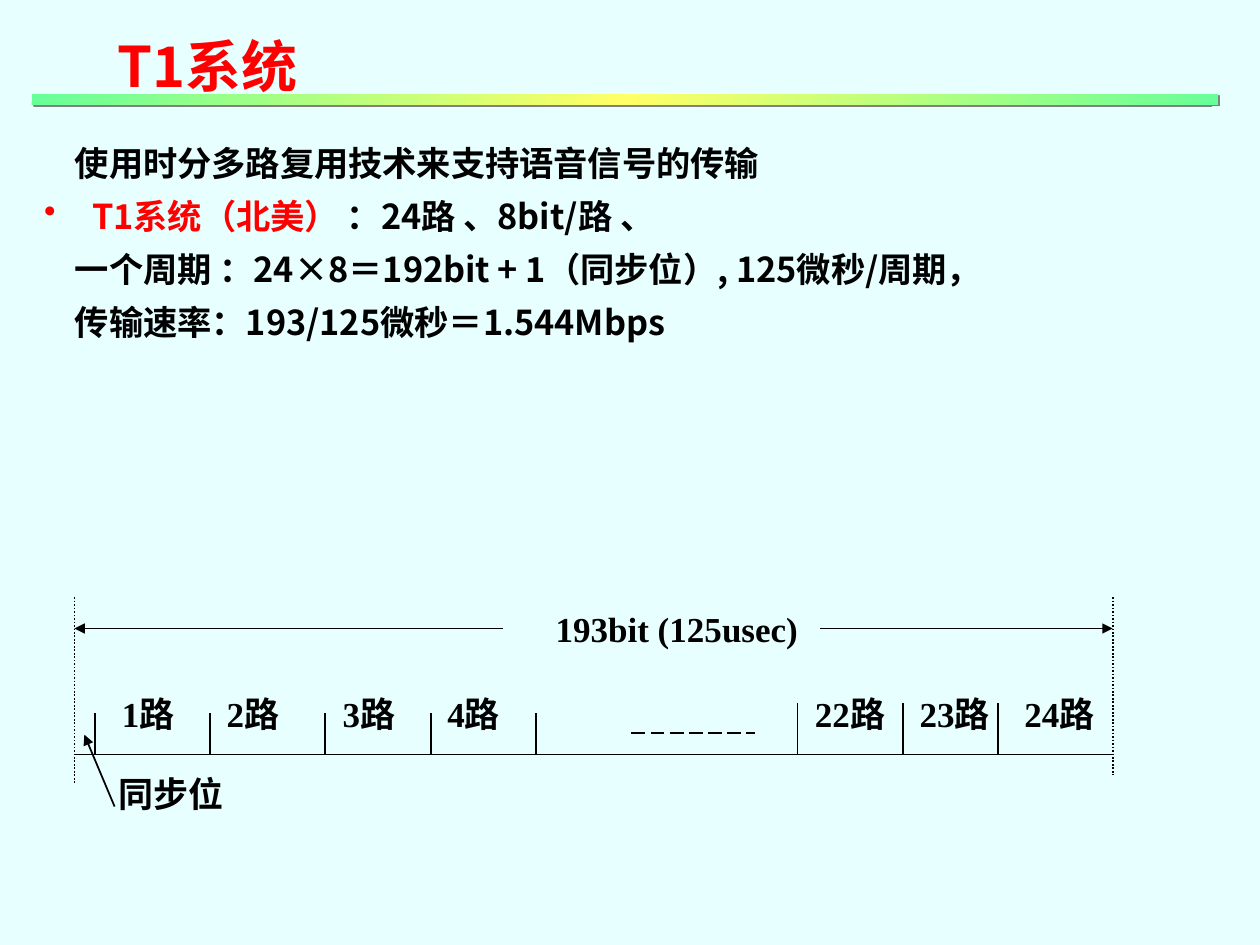
from copy import deepcopy
from dataclasses import dataclass

from lxml.etree import SubElement
from pptx import Presentation
from pptx.dml.color import RGBColor
from pptx.enum.dml import MSO_LINE
from pptx.enum.shapes import MSO_CONNECTOR, MSO_SHAPE
from pptx.oxml.ns import qn
from pptx.util import Cm, Pt


@dataclass(frozen=True)
class Theme:
    background: RGBColor = RGBColor(0xE7, 0xFF, 0xFF)
    ink: RGBColor = RGBColor(0, 0, 0)
    accent: RGBColor = RGBColor(0xFF, 0, 0)
    rule_edge: RGBColor = RGBColor(0x66, 0xFF, 0x99)
    rule_middle: RGBColor = RGBColor(0xFF, 0xFF, 0x66)
    rule_shadow: str = "808080"
    sans: str = "Noto Sans CJK SC"
    serif: str = "Times New Roman"
    title_size: float = 32
    body_size: float = 19.6
    label_size: float = 20
    line_height: float = 1.26
    line_width: float = 1


THEME = Theme()


def add_text_box(slide, left, top, width, height):
    """Add a wrapping text box without margins and return its text frame."""
    frame = slide.shapes.add_textbox(Cm(left), Cm(top), Cm(width), Cm(height)).text_frame
    frame.word_wrap = True
    frame.margin_left = frame.margin_right = frame.margin_top = frame.margin_bottom = 0
    return frame


def style_paragraph(paragraph, size, latin, color):
    paragraph.line_spacing = Pt(round(size * THEME.line_height, 1))
    font = paragraph.font
    font.size, font.bold, font.name = Pt(size), True, latin
    font.color.rgb = color
    default_run = paragraph._p.pPr.find(qn("a:defRPr"))
    SubElement(default_run, qn("a:ea"), typeface=THEME.sans)


def add_label(slide, text, left, top, width):
    paragraph = add_text_box(slide, left, top, width, 0.9).paragraphs[0]
    paragraph.text = text
    style_paragraph(paragraph, THEME.label_size, THEME.serif, THEME.ink)


def add_line(slide, start, end, dash=None, arrow=False):
    """Draw a line between two (x, y) points; an arrow points at the end."""
    points = [Cm(length) for length in (*start, *end)]
    connector = slide.shapes.add_connector(MSO_CONNECTOR.STRAIGHT, *points)
    connector.line.width = Pt(THEME.line_width)
    connector.line.color.rgb = THEME.ink
    if dash:
        connector.line.dash_style = dash
    properties = connector.element.spPr
    if arrow:
        SubElement(properties.find(qn("a:ln")), qn("a:tailEnd"), type="triangle")
    SubElement(properties, qn("a:effectLst"))


def add_title(slide, left, top, width, height):
    paragraph = add_text_box(slide, left, top, width, height).paragraphs[0]
    paragraph.text = "T1系统"
    style_paragraph(paragraph, THEME.title_size, THEME.sans, THEME.accent)


def add_title_rule(slide, left, top, width, height):
    rule = slide.shapes.add_shape(
        MSO_SHAPE.RECTANGLE, Cm(left), Cm(top), Cm(width), Cm(height))
    rule.line.fill.background()
    rule.fill.gradient()
    rule.fill.gradient_angle = 135
    stop_list = rule.element.spPr.find(qn("a:gradFill")).find(qn("a:gsLst"))
    stop_list.insert(1, deepcopy(stop_list[0]))
    colors = (THEME.rule_edge, THEME.rule_middle, THEME.rule_edge)
    for stop, color, position in zip(rule.fill.gradient_stops, colors, (0, 0.5, 1)):
        stop.color.rgb = color
        stop.position = position
    effects = SubElement(rule.element.spPr, qn("a:effectLst"))
    shadow = SubElement(effects, qn("a:outerShdw"), dist=str(Pt(1.4)), dir="2700000")
    SubElement(shadow, qn("a:srgbClr"), val=THEME.rule_shadow)


def add_body(slide, left, top, width, height):
    plain_indent, bullet_indent = 0.62, 0.97
    paragraphs = [
        ("", "使用时分多路复用技术来支持语音信号的传输"),
        ("T1系统（北美） ", "：24路 、8bit/路 、"),
        ("", "一个周期 ：24×8＝192bit + 1（同步位）, 125微秒/周期，"),
        ("", "传输速率：193/125微秒＝1.544Mbps"),
    ]
    frame = add_text_box(slide, left, top, width, height)
    for index, (highlight, text) in enumerate(paragraphs):
        paragraph = frame.paragraphs[0] if index == 0 else frame.add_paragraph()
        if index:
            paragraph.space_before = Pt(5.6)
        properties = paragraph._p.get_or_add_pPr()
        properties.set("marL", str(Cm(bullet_indent if highlight else plain_indent)))
        properties.set("indent", str(-Cm(bullet_indent) if highlight else 0))
        paragraph.line_spacing = Pt(round(THEME.body_size * THEME.line_height, 1))
        if highlight:
            bullet_color = SubElement(properties, qn("a:buClr"))
            SubElement(bullet_color, qn("a:srgbClr"), val=str(THEME.accent))
            SubElement(properties, qn("a:buChar"), char="•")
            run = paragraph.add_run()
            run.text = highlight
            run.font.color.rgb = THEME.accent
        paragraph.add_run().text = text
        style_paragraph(paragraph, THEME.body_size, THEME.sans, THEME.ink)


def add_frame_diagram(slide, left, top, width, height):
    """Draw one T1 frame: its span, its channel slots and the sync bit."""
    def at(x, y):
        return left + x, top + y

    base, span_y, label_y = 3.17, 0.63, 1.87
    short_tick, tall_tick = 2.34, 2.13

    add_line(slide, at(0, base), at(width, base))
    for x, bottom in ((0, height), (width, height - 0.2)):
        add_line(slide, at(x, 0), at(x, bottom), MSO_LINE.ROUND_DOT)

    add_line(slide, at(8.64, span_y), at(0, span_y), arrow=True)
    add_line(slide, at(15.04, span_y), at(width, span_y), arrow=True)
    add_label(slide, "193bit (125usec)", *at(9.7, 0.17), 5.2)

    ticks = {short_tick: (0.41, 2.74, 5.05, 7.19, 9.3),
             tall_tick: (14.58, 16.71, 18.62)}
    for tick_top, positions in ticks.items():
        for x in positions:
            add_line(slide, at(x, tick_top), at(x, base))

    channels = {1: 0.96, 2: 3.07, 3: 5.41, 4: 7.52, 22: 14.93, 23: 17.04, 24: 19.15}
    for number, x in channels.items():
        add_label(slide, f"{number}路", *at(x, label_y), 1.9)
    add_line(slide, at(11.23, 2.74), at(13.71, 2.74), MSO_LINE.LONG_DASH)

    add_line(slide, at(0.81, 4.22), at(0.2, 2.77), arrow=True)
    add_label(slide, "同步位", *at(0.89, 3.5), 2.4)


def main():
    presentation = Presentation()
    presentation.slide_width, presentation.slide_height = Cm(25.4), Cm(19.05)
    slide = presentation.slides.add_slide(presentation.slide_layouts[6])
    slide.background.fill.solid()
    slide.background.fill.fore_color.rgb = THEME.background

    add_body(slide, 0.89, 2.82, 23, 4.2)
    add_frame_diagram(slide, 1.5, 12.04, 20.93, 3.78)
    add_title_rule(slide, 0.64, 1.9, 23.92, 0.21)
    add_title(slide, 2.36, 0.56, 14.4, 1.4)
    presentation.save("out.pptx")


if __name__ == "__main__":
    main()
